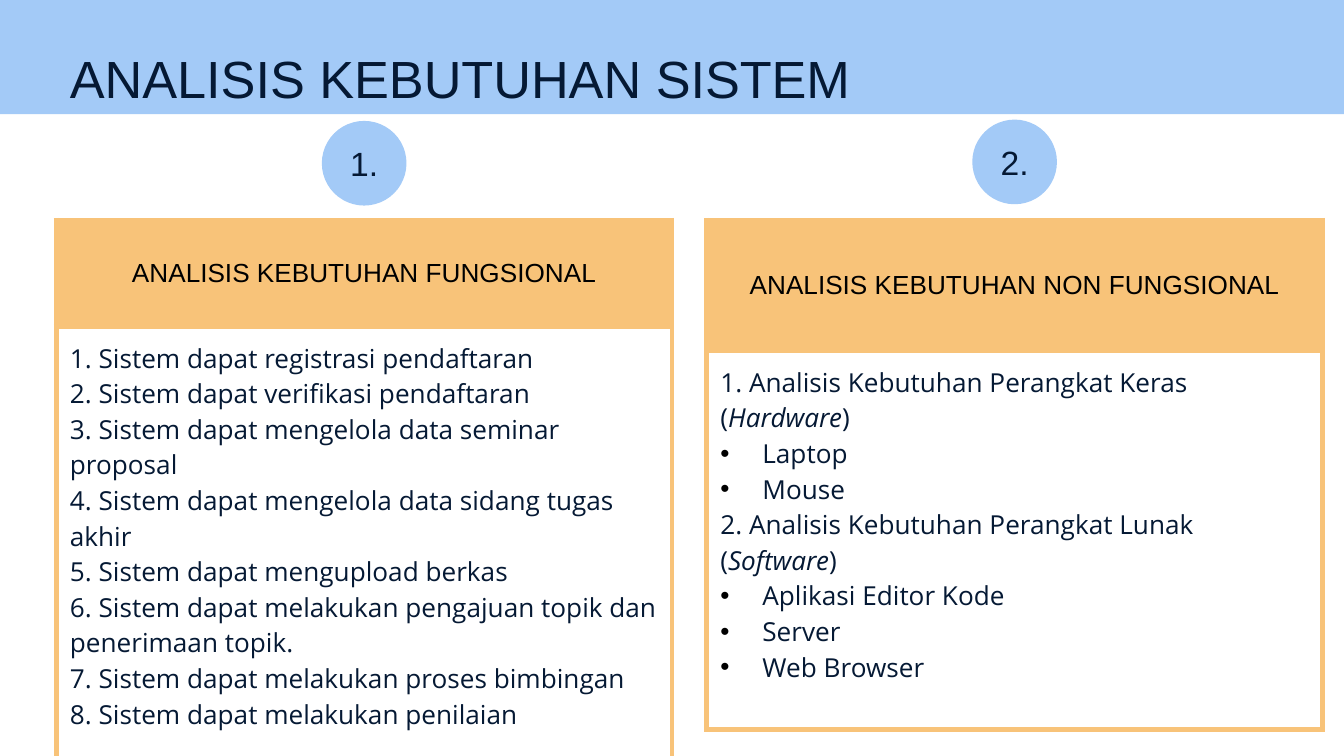
import pptx
import pptx.util
import pptx.dml.color
import pptx.enum.shapes
import pptx.enum.text
import pptx.oxml
import pptx.oxml.ns

Pt = pptx.util.Pt
ALIGN = pptx.enum.text.PP_ALIGN
ANCHOR = pptx.enum.text.MSO_ANCHOR
SHAPE = pptx.enum.shapes.MSO_SHAPE

COLORS = {"blue": "A3CAF7", "gold": "F8C379", "navy": "051934",
          "black": "000000", "white": "FFFFFF"}
HEAD, BODY = "Arial", "Open Sans"
TITLE = "ANALISIS KEBUTUHAN SISTEM"

# A row is (is_bullet, pieces); every second piece is italic.
NEEDS = ["registrasi pendaftaran", "verifikasi pendaftaran",
         "mengelola data seminar proposal",
         "mengelola data sidang tugas akhir", "mengupload berkas",
         "melakukan pengajuan topik dan penerimaan topik.",
         "melakukan proses bimbingan", "melakukan penilaian"]
TOOLS = [
    (False, ["1. Analisis Kebutuhan Perangkat Keras (", "Hardware", ")"]),
    (True, ["Laptop"]),
    (True, ["Mouse"]),
    (False, ["2. Analisis Kebutuhan Perangkat Lunak (", "Software", ")"]),
    (True, ["Aplikasi Editor Kode"]),
    (True, ["Server"]),
    (True, ["Web Browser"]),
]
PANELS = [
    {"head": "ANALISIS KEBUTUHAN FUNGSIONAL", "left": 30.24, "dot": 64.8,
     "rows": (56.9, 240),
     "text": [(False, [f"{n}. Sistem dapat {need}"])
              for n, need in enumerate(NEEDS, 1)]},
    {"head": "ANALISIS KEBUTUHAN NON FUNGSIONAL", "left": 378.7, "dot": 64.1,
     "rows": (69.84, 203), "text": TOOLS},
]
WIDE, HIGH, TOP, DOT = 329.76, 405, 118.1, 45.36
PAD, INDENT = 7.2, 22.5


def rgb(name):
    """Give the colour object for a name."""
    return pptx.dml.color.RGBColor.from_string(COLORS[name])


def apply(item, values):
    """Set each attribute of an object from a dict."""
    for key, value in values.items():
        setattr(item, key, value)


def paint(item, name):
    """Fill a shape or cell with one colour."""
    item.fill.solid()
    item.fill.fore_color.rgb = rgb(name)


def write(para, text, font, size, color, italic=False):
    """Add one styled run to a paragraph."""
    run = para.add_run()
    run.text = text
    apply(run.font, {"name": font, "size": Pt(size), "bold": False,
                     "italic": italic})
    run.font.color.rgb = rgb(color)


def bullet(para):
    """Give a paragraph a hanging black bullet."""
    props = para._p.get_or_add_pPr()
    props.set("marL", str(Pt(INDENT)))
    props.set("indent", str(-Pt(INDENT)))
    space = pptx.oxml.ns.nsdecls("a")
    for xml in (f'<a:buClr {space}><a:srgbClr val="{COLORS["black"]}"/></a:buClr>',
                f'<a:buFont {space} typeface="Arial"/>',
                f'<a:buChar {space} char="•"/>'):
        props.append(pptx.oxml.parse_xml(xml))


def frame(cell):
    """Draw the border on all four sides of a cell."""
    props = cell._tc.get_or_add_tcPr()
    space = pptx.oxml.ns.nsdecls("a")
    for spot, side in enumerate(("lnL", "lnR", "lnT", "lnB")):
        props.insert(spot, pptx.oxml.parse_xml(
            f'<a:{side} {space} w="{Pt(3)}"><a:solidFill>'
            f'<a:srgbClr val="{COLORS["gold"]}"/></a:solidFill></a:{side}>'))


def block(shapes, kind, left, top, wide, high):
    """Add a plain blue shape."""
    shape = shapes.add_shape(kind, Pt(left), Pt(top), Pt(wide), Pt(high))
    shape.shadow.inherit = False
    paint(shape, "blue")
    shape.line.fill.background()
    return shape


def panel(shapes, data):
    """Add the table with a heading and its list."""
    table = shapes.add_table(2, 1, Pt(data["left"]), Pt(TOP), Pt(WIDE),
                             Pt(sum(data["rows"]))).table
    for row, high in zip(table.rows, data["rows"]):
        row.height = Pt(high)
    head, body = table.cell(0, 0), table.cell(1, 0)
    for cell, fill, anchor in ((head, "gold", ANCHOR.MIDDLE),
                               (body, "white", ANCHOR.TOP)):
        paint(cell, fill)
        frame(cell)
        apply(cell, {"margin_left": Pt(PAD), "margin_right": Pt(PAD),
                     "margin_top": Pt(PAD), "margin_bottom": Pt(PAD),
                     "vertical_anchor": anchor})
    para = head.text_frame.paragraphs[0]
    para.alignment = ALIGN.CENTER
    write(para, data["head"], HEAD, 14, "black")
    for spot, (listed, pieces) in enumerate(data["text"]):
        text = body.text_frame
        para = text.add_paragraph() if spot else text.paragraphs[0]
        if listed:
            bullet(para)
        for turn, piece in enumerate(pieces):
            write(para, piece, BODY, 14, "navy", turn % 2 == 1)


def badge(shapes, number, data):
    """Add the numbered circle centred above a panel."""
    left = data["left"] + (WIDE - DOT) / 2
    dot = block(shapes, SHAPE.OVAL, left, data["dot"], DOT, DOT)
    apply(dot.text_frame, {"vertical_anchor": ANCHOR.MIDDLE,
                           "word_wrap": True})
    para = dot.text_frame.paragraphs[0]
    para.alignment = ALIGN.CENTER
    write(para, f"{number}.", HEAD, 18, "navy")


def main():
    """Build and save the slide."""
    deck = pptx.Presentation()
    apply(deck, {"slide_width": Pt(720), "slide_height": Pt(HIGH)})
    slide = deck.slides.add_slide(deck.slide_layouts[5])
    shapes = slide.shapes
    band = block(shapes, SHAPE.RECTANGLE, 0, 0, 720, 61.2)
    title = shapes.title
    title._element.addprevious(band._element)
    apply(title, {"left": Pt(30.24), "top": Pt(14.4),
                  "width": Pt(556.56), "height": Pt(45.36)})
    apply(title.text_frame, {
        "margin_left": Pt(PAD), "margin_right": Pt(PAD),
        "margin_top": Pt(10.5), "margin_bottom": Pt(0),
        "vertical_anchor": ANCHOR.TOP, "word_wrap": True,
        "auto_size": pptx.enum.text.MSO_AUTO_SIZE.NONE})
    para = title.text_frame.paragraphs[0]
    para.alignment = ALIGN.LEFT
    write(para, TITLE, HEAD, 28, "navy")
    for number, data in enumerate(PANELS, 1):
        panel(shapes, data)
        badge(shapes, number, data)
    deck.save("out.pptx")


main()
